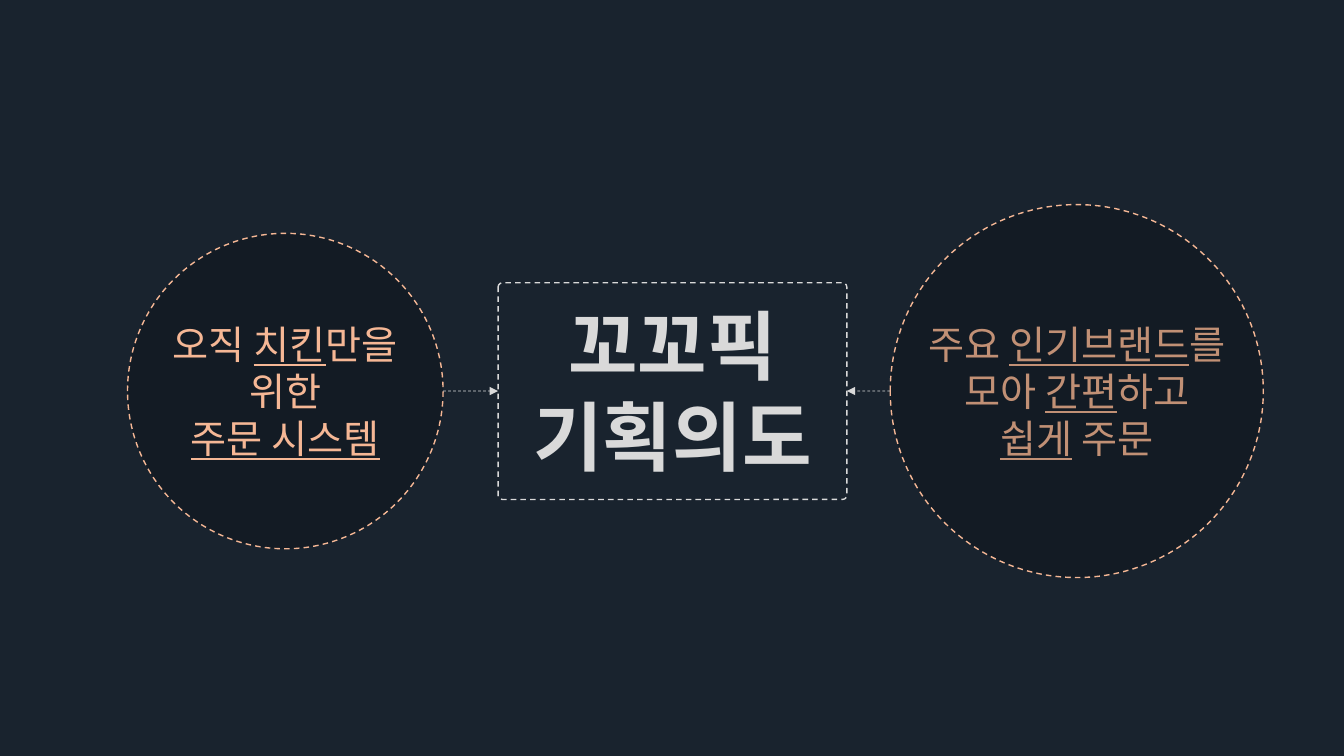
from lxml.etree import SubElement
from pptx import Presentation
from pptx.dml.color import RGBColor
from pptx.enum.dml import MSO_LINE
from pptx.enum.shapes import MSO_CONNECTOR, MSO_SHAPE
from pptx.enum.text import MSO_AUTO_SIZE, PP_ALIGN
from pptx.oxml.ns import qn
from pptx.util import Inches, Pt

NAVY = RGBColor(0x19, 0x23, 0x2E)
BLACK = RGBColor(0, 0, 0)
PEACH = RGBColor(0xF5, 0xB7, 0x95)
LIGHT = RGBColor(0xD9, 0xD9, 0xD9)

AXIS = 3.88  # every element is centred on this height
LEFT_X, MIDDLE_X, RIGHT_X = 2.83, 6.67, 10.68
LEFT_SIZE, RIGHT_SIZE = 3.13, 3.7


class IntentSlide:
    font = "Arial"

    def __init__(self, prs):
        self.slide = prs.slides.add_slide(prs.slide_layouts[6])
        self.shapes = self.slide.shapes
        fill = self.slide.background.fill
        fill.solid()
        fill.fore_color.rgb = NAVY

    def box(self, centre, width, height):
        return [Inches(v) for v in (centre - width / 2, AXIS - height / 2, width, height)]

    def dash(self, line, color, width):
        line.color.rgb = color
        line.width = Pt(width)
        line.dash_style = MSO_LINE.DASH

    def circle(self, centre, size):
        circle = self.shapes.add_shape(MSO_SHAPE.OVAL, *self.box(centre, size, size))
        circle.shadow.inherit = False
        circle.fill.solid()
        circle.fill.fore_color.rgb = BLACK
        color = circle.fill._xPr.find(qn("a:solidFill"))[0]
        SubElement(color, qn("a:alpha"), val="21000")
        self.dash(circle.line, PEACH, 1)

    def frame(self, centre, width, height):
        frame = self.shapes.add_shape(MSO_SHAPE.ROUNDED_RECTANGLE, *self.box(centre, width, height))
        frame.adjustments[0] = 0.02
        frame.shadow.inherit = False
        frame.fill.background()
        self.dash(frame.line, LIGHT, 1)
        return frame

    def text(self, centre, width, height, lines, size, color, bold=False):
        """Each line is a list of pieces; a piece starting with _ is underlined."""
        frame = self.shapes.add_textbox(*self.box(centre, width, height)).text_frame
        frame.word_wrap = True
        frame.auto_size = MSO_AUTO_SIZE.SHAPE_TO_FIT_TEXT
        for i, pieces in enumerate(lines):
            paragraph = frame.add_paragraph() if i else frame.paragraphs[0]
            paragraph.alignment = PP_ALIGN.CENTER
            font = paragraph.font
            font.name, font.size, font.bold = self.font, Pt(size), bold
            font.color.rgb = color
            for piece in pieces:
                run = paragraph.add_run()
                run.text = piece.removeprefix("_")
                if piece.startswith("_"):
                    run.font.underline = True

    def arrow(self, start, target, side):
        y = Inches(AXIS)
        arrow = self.shapes.add_connector(MSO_CONNECTOR.CURVE, Inches(start), y, Inches(start), y)
        arrow.end_connect(target, side)
        self.dash(arrow.line, LIGHT, 0.5)
        SubElement(arrow.line._get_or_add_ln(), qn("a:tailEnd"), type="triangle")
        SubElement(arrow._element.spPr, qn("a:effectLst"))


def main():
    prs = Presentation()
    prs.slide_width, prs.slide_height = Inches(13.33), Inches(7.5)
    intent = IntentSlide(prs)

    # Left circle and central title
    intent.circle(LEFT_X, LEFT_SIZE)
    intent.text(MIDDLE_X, 6.67, 1.92, [["꼬꼬픽"], ["기획의도"]], 54, LIGHT, bold=True)
    title_frame = intent.frame(MIDDLE_X, 3.46, 2.15)

    # Reasons; the right circle lies over its text and dims it
    intent.text(LEFT_X, LEFT_SIZE, 1.51,
                [["오직 ", "_치킨", "만을 위한"], ["_주문 시스템"]], 28, PEACH)
    intent.text(RIGHT_X, 3.94, 1.51,
                [["주요 ", "_인기브랜드", "를"], ["모아 ", "_간편", "하고"], ["_쉽게", " 주문"]],
                28, PEACH)
    intent.circle(RIGHT_X, RIGHT_SIZE)

    # Arrows from the circles to the title
    intent.arrow(LEFT_X + LEFT_SIZE / 2, title_frame, 1)
    intent.arrow(RIGHT_X - RIGHT_SIZE / 2, title_frame, 3)

    prs.save("out.pptx")


if __name__ == "__main__":
    main()
